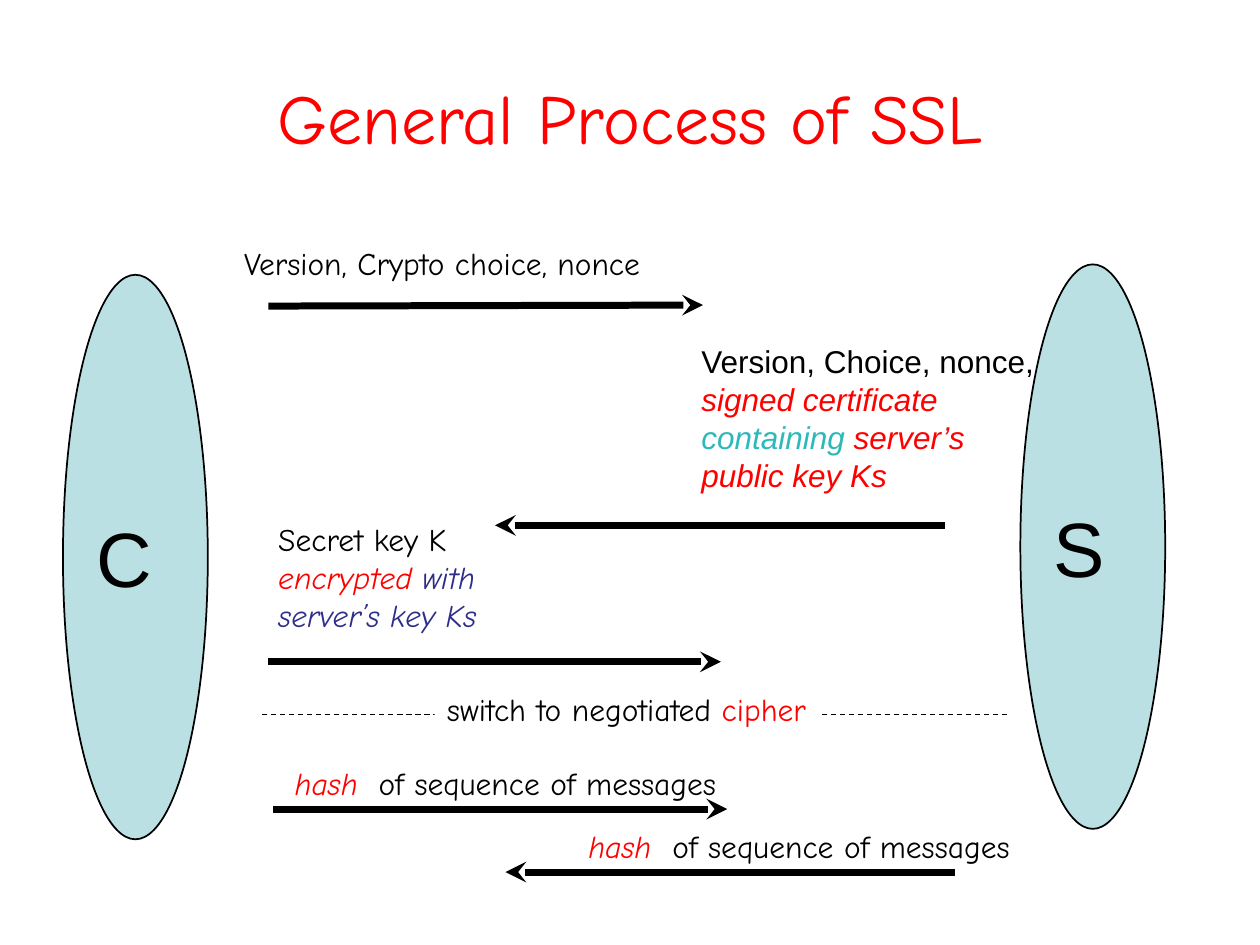
from lxml import etree
from pptx import Presentation
from pptx.dml.color import RGBColor
from pptx.enum.dml import MSO_LINE
from pptx.enum.shapes import MSO_CONNECTOR, MSO_SHAPE
from pptx.enum.text import MSO_ANCHOR, MSO_AUTO_SIZE, PP_ALIGN
from pptx.oxml.ns import qn
from pptx.util import Cm, Pt

OVAL, STRAIGHT, DASH = MSO_SHAPE.OVAL, MSO_CONNECTOR.STRAIGHT, MSO_LINE.DASH
TOP, MIDDLE = MSO_ANCHOR.TOP, MSO_ANCHOR.MIDDLE
LEFT, CENTER = PP_ALIGN.LEFT, PP_ALIGN.CENTER
NO_FIT = MSO_AUTO_SIZE.NONE

COLORS = {"black": "000000", "red": "FF0000", "teal": "2DB9B9",
          "navy": "2D2D8A", "pale": "BBE0E3", "white": "FFFFFF"}
COLORS = {name: RGBColor.from_string(value) for name, value in COLORS.items()}
HAND, SANS = "Comic Neue", "Arial"


def write(sp, lines, font=HAND, size=18, align=LEFT, anchor=TOP, wrap=False):
    """Fill a shape with lines, each a list of (text, colour, italic) runs."""
    tf = sp.text_frame
    tf.auto_size = NO_FIT
    tf.word_wrap = wrap
    tf.vertical_anchor = anchor
    for i, line in enumerate(lines):
        p = tf.add_paragraph() if i else tf.paragraphs[0]
        p.alignment = align
        for text, color, italic in line:
            r = p.add_run()
            r.text = text
            r.font.name, r.font.size, r.font.italic = font, Pt(size), italic
            r.font.color.rgb = COLORS[color]


def add_line(x1, y1, x2, y2, width, arrow=False):
    ln = s.shapes.add_connector(STRAIGHT, Cm(x1), Cm(y1), Cm(x2), Cm(y2))
    ln.line.color.rgb = COLORS["black"]
    ln.line.width = Pt(width)
    if arrow:
        etree.SubElement(ln.line._get_or_add_ln(), qn("a:tailEnd"), type="stealth")
    else:
        ln.line.dash_style = DASH
    etree.SubElement(ln._element.spPr, qn("a:effectLst"))


prs = Presentation()
prs.slide_width, prs.slide_height = Cm(25.4), Cm(19.05)
s = prs.slides.add_slide(prs.slide_layouts[5])

title = s.shapes.title
title.left, title.top, title.width, title.height = Cm(1.27), Cm(0.76), Cm(22.86), Cm(3.18)
write(title, [[("General Process of SSL", "red", False)]],
      size=40, align=CENTER, anchor=MIDDLE, wrap=True)
p = title.text_frame.paragraphs[0]
p.space_before, p.space_after = Pt(12), Pt(3)

# Client and server
for name, x, y in [("C", 1.27, 5.54), ("S", 20.57, 5.33)]:
    sp = s.shapes.add_shape(OVAL, Cm(x), Cm(y), Cm(2.92), Cm(11.38))
    sp.shadow.inherit = False
    sp.fill.solid()
    sp.fill.fore_color.rgb = COLORS["pale"]
    sp.line.color.rgb = COLORS["black"]
    sp.line.width = Pt(1)
    write(sp, [[(name, "black", False)]], font=SANS, size=44, anchor=MIDDLE, wrap=True)

# Message arrows, each from sender to receiver
for x1, y1, x2, y2 in [
    (5.41, 6.17, 14.17, 6.15),
    (19.05, 10.59, 9.98, 10.59),
    (5.41, 13.34, 14.53, 13.34),
    (5.51, 16.31, 14.66, 16.31),
    (19.25, 17.58, 10.19, 17.58),
]:
    add_line(x1, y1, x2, y2, 4, arrow=True)
add_line(5.28, 14.4, 20.32, 14.4, 0.75)

# Message labels: left, top, width, height, font, fill, lines
hash_line = [("hash  ", "red", True), ("of sequence of messages", "black", False)]
labels = [
    (4.67, 4.8, 8.53, 1.02, HAND, None,
     [[("Version, Crypto choice, nonce", "black", False)]]),
    (13.89, 6.78, 7.24, 3.3, SANS, None,
     [[("Version, Choice, nonce,", "black", False)],
      [("signed certificate", "red", True)],
      [("containing ", "teal", True), ("server’s", "red", True)],
      [("public key Ks", "red", True)]]),
    (5.36, 10.36, 4.7, 2.54, HAND, None,
     [[("Secret key K", "black", False)],
      [("encrypted ", "red", True), ("with", "navy", True)],
      [("server’s key Ks", "navy", True)]]),
    (8.76, 13.79, 7.8, 1.02, HAND, "white",
     [[("switch to negotiated ", "black", False), ("cipher", "red", False)]]),
    (5.69, 15.27, 9.02, 1.02, HAND, None, [hash_line]),
    (11.61, 16.54, 9.02, 1.02, HAND, None, [hash_line]),
]
for x, y, w, h, font, fill, lines in labels:
    sp = s.shapes.add_textbox(Cm(x), Cm(y), Cm(w), Cm(h))
    if fill:
        sp.fill.solid()
        sp.fill.fore_color.rgb = COLORS[fill]
    write(sp, lines, font=font)

prs.save("out.pptx")
